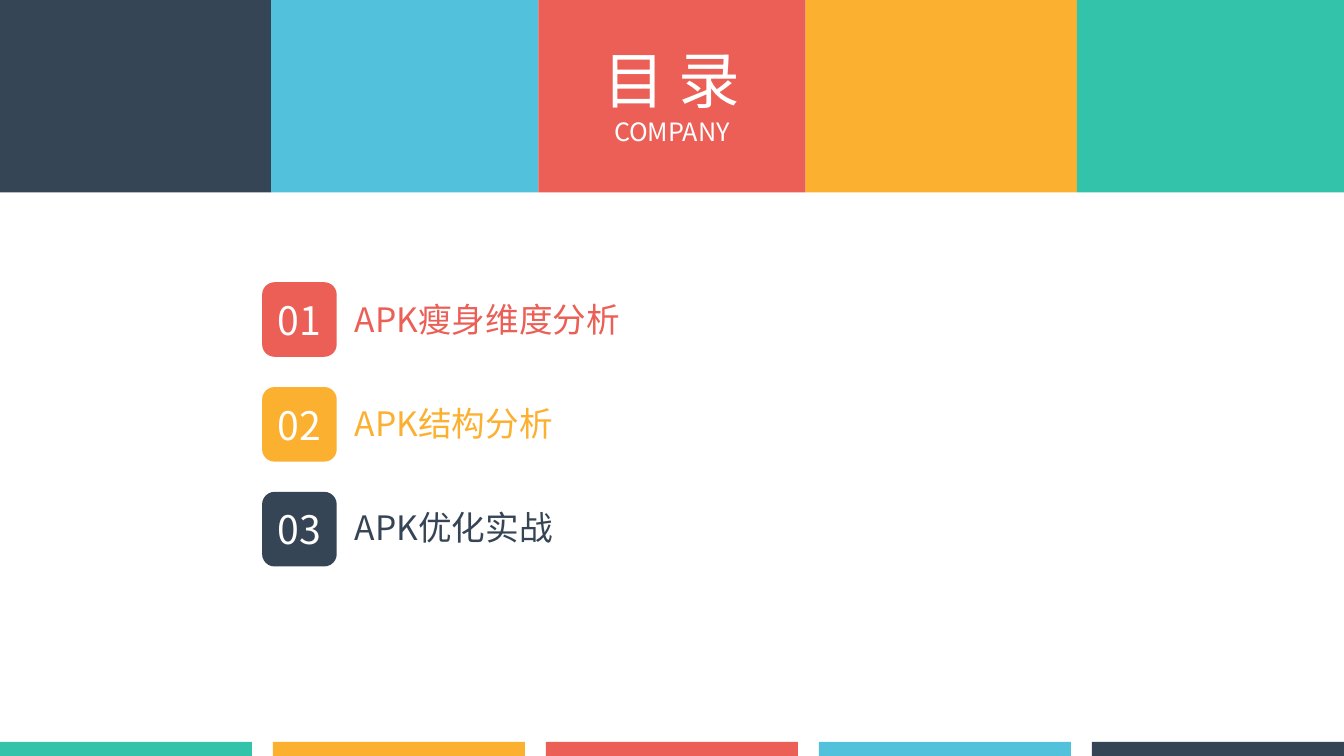
from lxml import etree
from pptx import Presentation
from pptx import util as u
from pptx.dml.color import RGBColor
from pptx.enum import shapes, text
from pptx.oxml.ns import qn

FONT = "Noto Sans CJK SC"
NAVY, BLUE, RED, AMBER, GREEN = "364555", "52C2DC", "EB5F56", "FCB030", "33C3AB"
WHITE = "FFFFFF"
BAND_COLORS = [NAVY, BLUE, RED, AMBER, GREEN]
HEADING = [("目 录", 44), ("COMPANY", 18)]
TOPICS = [
    ("01", "APK瘦身维度分析", RED),
    ("02", "APK结构分析", AMBER),
    ("03", "APK优化实战", NAVY),
]

WIDTH, HEIGHT = 13.33, 7.5
BAND_EDGES = [0, 2.69, 5.34, 7.99, 10.68, WIDTH]
BAND_HEIGHT = 1.91
BAR_WIDTH, BAR_HEIGHT = 2.5, 0.14
BADGE_LEFT, BADGE_TOP, BADGE_SIZE = 2.6, 2.8, 0.74
LABEL_LEFT, LABEL_TOP, LABEL_WIDTH = 3.42, 2.92, 5.21
BADGE_PITCH, LABEL_PITCH = 1.04, 1.03

presentation = Presentation()
presentation.slide_width = u.Inches(WIDTH)
presentation.slide_height = u.Inches(HEIGHT)
slide = presentation.slides.add_slide(presentation.slide_layouts[6])


def rgb(value):
    return RGBColor.from_string(value)


def add_block(left, top, width, height, color, kind=shapes.MSO_SHAPE.RECTANGLE):
    shape = slide.shapes.add_shape(kind, *map(u.Inches, (left, top, width, height)))
    shape.shadow.inherit = False
    shape.fill.solid()
    shape.fill.fore_color.rgb = rgb(color)
    shape.line.fill.background()
    return shape


def add_text_box(left, top, width, height):
    return slide.shapes.add_textbox(*map(u.Inches, (left, top, width, height)))


def write(paragraph, content, size, color, align=text.PP_ALIGN.LEFT):
    paragraph.alignment = align
    run = paragraph.add_run()
    run.text = content
    run.font.size = u.Pt(size)
    run.font.name = FONT
    run.font.color.rgb = rgb(color)
    properties = run.font._element
    etree.SubElement(properties, qn("a:ea")).set("typeface", FONT)


for color, left, right in zip(BAND_COLORS, BAND_EDGES, BAND_EDGES[1:]):
    add_block(left, 0, right - left, BAND_HEIGHT, color)

heading = add_text_box(5.85, 0.37, 1.63, 1.18).text_frame
heading.word_wrap = False
for index, (content, size) in enumerate(HEADING):
    paragraph = heading.add_paragraph() if index else heading.paragraphs[0]
    write(paragraph, content, size, WHITE, align=text.PP_ALIGN.CENTER)

bar_pitch = (WIDTH - BAR_WIDTH) / (len(BAND_COLORS) - 1)
for column, color in enumerate(reversed(BAND_COLORS)):
    add_block(column * bar_pitch, HEIGHT - BAR_HEIGHT, BAR_WIDTH, BAR_HEIGHT, color)

for row, (number, title, color) in enumerate(TOPICS):
    badge = add_block(BADGE_LEFT, BADGE_TOP + row * BADGE_PITCH, BADGE_SIZE, BADGE_SIZE,
                      color, kind=shapes.MSO_SHAPE.ROUNDED_RECTANGLE)
    badge.text_frame.vertical_anchor = text.MSO_ANCHOR.MIDDLE
    write(badge.text_frame.paragraphs[0], number, 28, WHITE, align=text.PP_ALIGN.CENTER)
    label = add_text_box(LABEL_LEFT, LABEL_TOP + row * LABEL_PITCH, LABEL_WIDTH, 0.5)
    label.text_frame.word_wrap = True
    write(label.text_frame.paragraphs[0], title, 24, color)

presentation.save("out.pptx")
